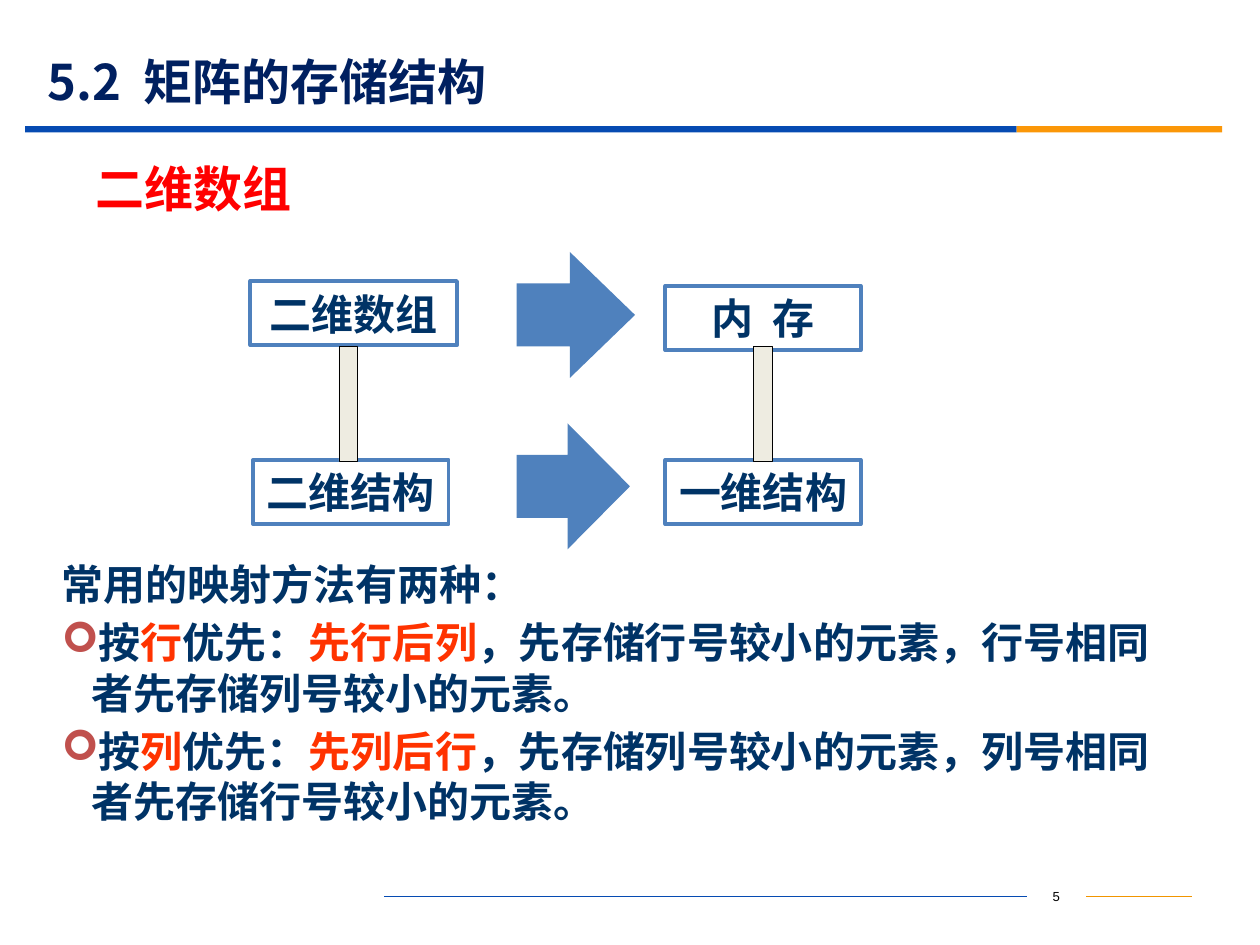
from pptx import Presentation
from pptx.dml.color import RGBColor
from pptx.enum.shapes import MSO_CONNECTOR as CONN, MSO_SHAPE as SHAPE
from pptx.enum.text import MSO_ANCHOR as ANCHOR, PP_ALIGN as ALIGN
from pptx.oxml.ns import qn
from pptx.util import Pt
from lxml.etree import SubElement

CJK, SERIF = "Noto Sans CJK SC", "Times New Roman"
NAVY, RED, BLUE = "003366", "FF3300", "4F81BD"

TITLE = "5.2  矩阵的存储结构"
HEADING = "二维数组"
INTRO = "常用的映射方法有两种："
METHODS = [
    [("按", NAVY), ("行", RED), ("优先：", NAVY), ("先行后列", RED),
     ("，先存储行号较小的元素，行号相同者先存储列号较小的元素。", NAVY)],
    [("按", NAVY), ("列", RED), ("优先：", NAVY), ("先列后行", RED),
     ("，先存储列号较小的元素，列号相同者先存储行号较小的元素。", NAVY)],
]
BOXES = [("二维数组", 143.1, 160.6, 118), ("内  存", 380.2, 163.4, 111.6),
         ("二维结构", 144.7, 262.8, 111.6), ("一维结构", 380.2, 262.8, 111.6)]
ARROWS = [(144, 67.7), (241.9, 64.8)]
BARS = [193.7, 430.6]
RULES = [(14.4, 566.6, "064BB2"), (581, 117.4, "FB9708")]
FOOT_LINES = [(219.6, 586.8, "064BB2"), (620.6, 681.1, "F19500")]


def rgb(color):
    """Turn a hex string into a colour."""
    return RGBColor.from_string(color)


def style(r, size, color, latin=CJK, bold=True):
    """Format one run, with the CJK font for its Chinese characters."""
    r.font.name, r.font.size, r.font.bold = latin, Pt(size), bold
    r.font.color.rgb = rgb(color)
    SubElement(r.font._element, qn("a:ea"), typeface=CJK)


def add_shape(s, kind, x, y, w, h, fill=None, line=None, weight=1):
    """Add a flat preset shape."""
    sp = s.shapes.add_shape(kind, Pt(x), Pt(y), Pt(w), Pt(h))
    sp.shadow.inherit = False
    if fill:
        sp.fill.solid()
        sp.fill.fore_color.rgb = rgb(fill)
    else:
        sp.fill.background()
    if line:
        sp.line.color.rgb, sp.line.width = rgb(line), Pt(weight)
    else:
        sp.line.fill.background()
    return sp


def add_text(s, x, y, w, h):
    """Add a wrapping text box and return its text frame."""
    tf = s.shapes.add_textbox(Pt(x), Pt(y), Pt(w), Pt(h)).text_frame
    tf.word_wrap = True
    return tf


def add_bullet(p):
    """Give a paragraph a hanging arrow bullet."""
    pPr = p._p.get_or_add_pPr()
    pPr.set("marL", str(Pt(17)))
    pPr.set("indent", str(-Pt(17)))
    SubElement(SubElement(pPr, qn("a:buClr")), qn("a:srgbClr"), val="C0504D")
    SubElement(pPr, qn("a:buFont"), typeface="Wingdings")
    SubElement(pPr, qn("a:buChar"), char="➢")


def add_frame(s):
    """Draw the rules, the footer lines and the slide number."""
    for x, w, color in RULES:
        add_shape(s, SHAPE.RECTANGLE, x, 72, w, 3.6, color)
    for x1, x2, color in FOOT_LINES:
        ln = s.shapes.add_connector(CONN.STRAIGHT, Pt(x1), Pt(512.4), Pt(x2), Pt(512.4))
        ln.line.color.rgb, ln.line.width = rgb(color), Pt(0.75)
        SubElement(ln._element.spPr, qn("a:effectLst"))
    tf = add_text(s, 586.8, 503.3, 33.8, 18)
    tf.vertical_anchor = ANCHOR.MIDDLE
    p = tf.paragraphs[0]
    p.text, p.alignment = "5", ALIGN.CENTER
    style(p.runs[0], 7.5, "000000", "Arial", False)


def add_diagram(s):
    """Draw the boxes, the arrows and the bars that join them."""
    for text, x, y, w in BOXES:
        tf = add_shape(s, SHAPE.RECTANGLE, x, y, w, 36.7, line=BLUE, weight=2.25).text_frame
        tf.word_wrap, tf.vertical_anchor = False, ANCHOR.MIDDLE
        p = tf.paragraphs[0]
        p.text, p.alignment = text, ALIGN.CENTER
        style(p.runs[0], 24, NAVY)
    for y, w in ARROWS:
        sp = add_shape(s, SHAPE.RIGHT_ARROW, 295.2, y, w, 72, BLUE)
        sp.adjustments[1] = 0.55
    for x in BARS:
        add_shape(s, SHAPE.RECTANGLE, x, 198, 10.8, 65.5, "EEECE1", "000000", 0.5)


def add_body(s):
    """Write the introduction and the two mapping methods."""
    tf = add_text(s, 28.1, 315.8, 653.8, 164.2)
    for i, parts in enumerate([[(INTRO, NAVY)], *METHODS]):
        p = tf.add_paragraph() if i else tf.paragraphs[0]
        p.line_spacing, p.space_before = Pt(28.6), Pt(4.8 if i else 0)
        if i:
            add_bullet(p)
        for text, color in parts:
            r = p.add_run()
            r.text = text
            style(r, 24, color)


def main():
    """Build the slide on the storage of matrices."""
    prs = Presentation()
    prs.slide_width, prs.slide_height = Pt(720), Pt(540)
    s = prs.slides.add_slide(prs.slide_layouts[5])
    add_frame(s)

    title = s.shapes.title
    title.left, title.top, title.width, title.height = Pt(20.2), Pt(31), Pt(648), Pt(31)
    tf = title.text_frame
    tf.text, tf.vertical_anchor = TITLE, ANCHOR.MIDDLE
    tf.paragraphs[0].alignment = ALIGN.LEFT
    style(tf.paragraphs[0].runs[0], 28, "002060")

    tf = add_text(s, 47.5, 87, 192.2, 41)
    tf.text = HEADING
    style(tf.paragraphs[0].runs[0], 28, "FF0000", SERIF)

    add_diagram(s)
    add_body(s)
    prs.save("out.pptx")


if __name__ == "__main__":
    main()
